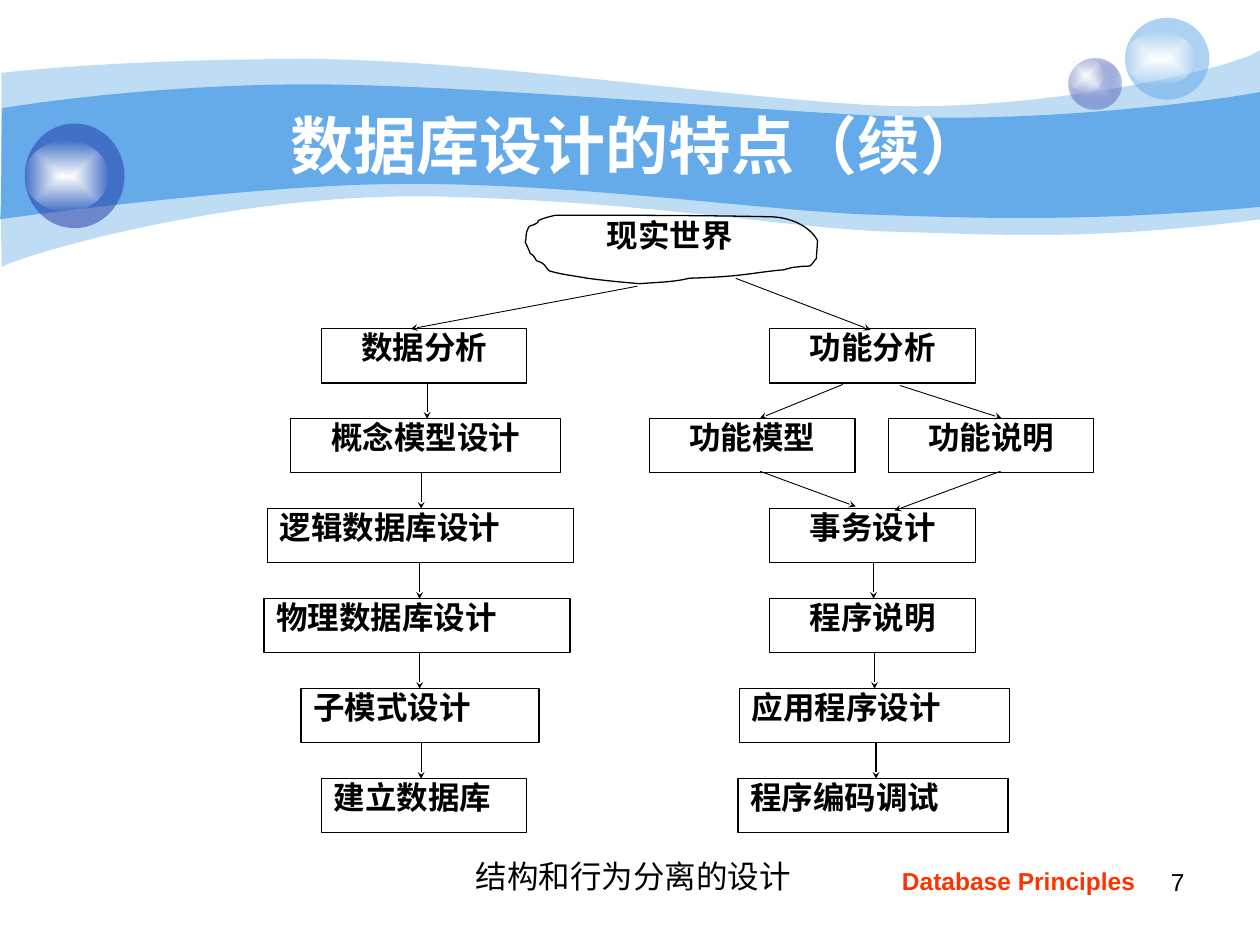
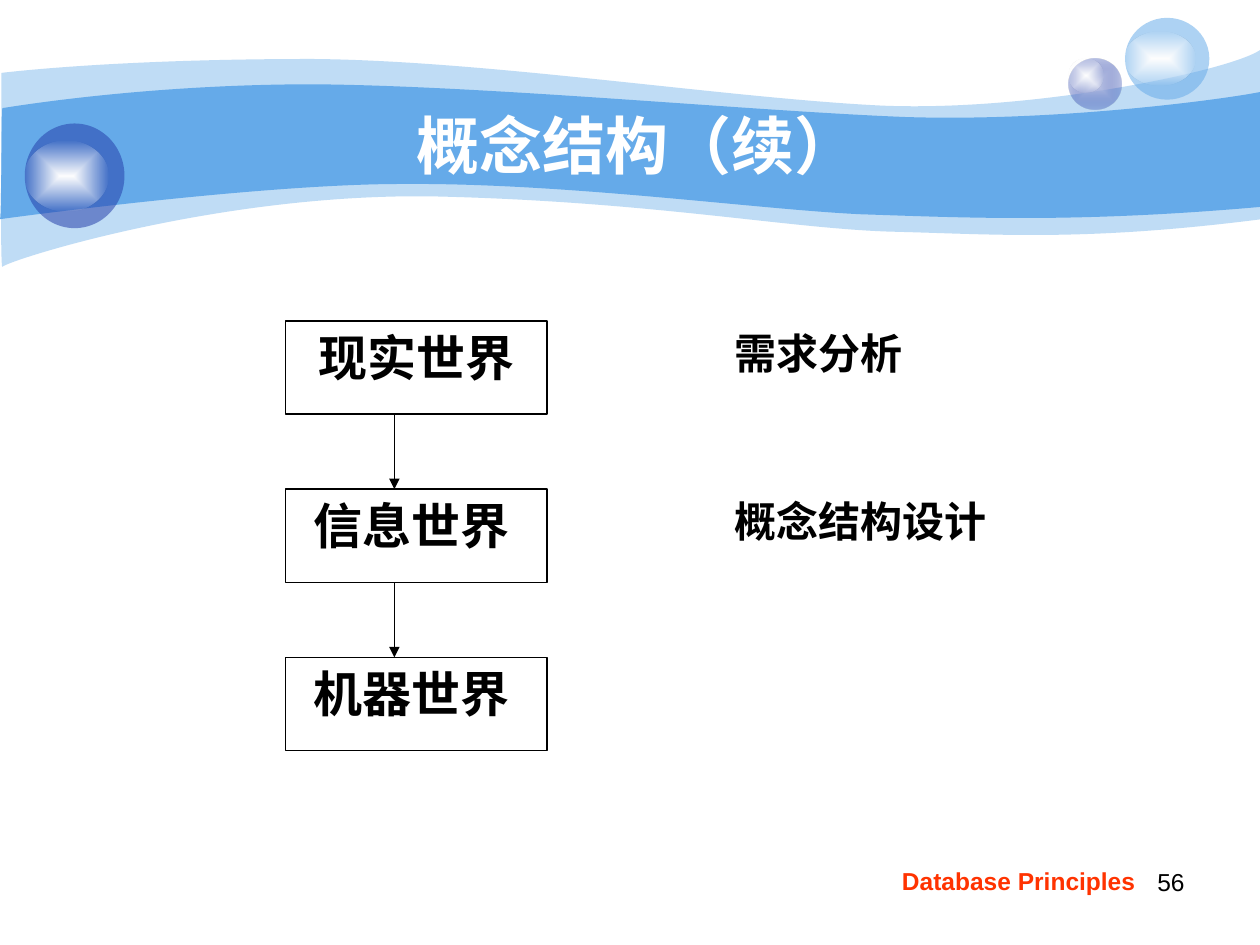
import lxml.etree
import pptx
import pptx.dml.color
import pptx.enum.shapes
import pptx.enum.text
import pptx.oxml.ns
import pptx.util

Cm = pptx.util.Cm
RGBColor = pptx.dml.color.RGBColor
ALIGN = pptx.enum.text.PP_ALIGN
ANCHOR = pptx.enum.text.MSO_ANCHOR
SHAPE = pptx.enum.shapes.MSO_SHAPE
qn = pptx.oxml.ns.qn

BLACK = RGBColor(0x00, 0x00, 0x00)
WHITE = RGBColor(0xFF, 0xFF, 0xFF)
SKY = RGBColor(0x65, 0xAA, 0xE9)
NAVY = RGBColor(0x23, 0x3D, 0xA9)
LAVENDER = RGBColor(0xC7, 0xCE, 0xE9)
ORANGE = RGBColor(0xFF, 0x33, 0x00)
SANS = "Arial"
SERIF = "Times New Roman"

OUTER_BAND = [
    [(0.03, 1.47)],
    [(0.64, 1.4), (2.77, 1.19), (6.3, 1.19)],
    [(9.83, 1.22), (14.66, 1.98), (17.78, 2.13)],
    [(20.9, 2.26), (24.92, 1.4), (25.43, 0.99)],
    [(25.43, 4.42)],
    [(21.82, 4.88), (20.04, 4.72), (17.93, 4.67)],
    [(15.82, 4.6), (13.11, 4.06), (8.74, 3.96)],
    [(4.39, 3.89), (0.13, 5.26), (0.05, 5.38)],
    [(0, 5.49), (0.03, 2.13), (0.03, 1.47)],
]
INNER_BAND = [
    [(0.05, 2.18)],
    [(0.08, 2.18), (2.82, 1.7), (6.32, 1.7)],
    [(9.86, 1.73), (15.16, 2.24), (18.26, 2.36)],
    [(21.39, 2.46), (24.82, 1.98), (25.43, 1.85)],
    [(25.43, 4.17)],
    [(21.69, 4.5), (19.48, 4.39), (17.35, 4.32)],
    [(15.24, 4.22), (11.38, 3.68), (8.08, 3.71)],
    [(5.18, 3.71), (-0.03, 4.42), (0, 4.42)],
    [(0.03, 4.45), (0.03, 2.18), (0.05, 2.18)],
]
CLOUD = [
    [(10.85, 4.45)],
    [(10.97, 4.39), (11.07, 4.37), (11.2, 4.34)],
    [(12.62, 4.34), (14.07, 4.34), (15.49, 4.37)],
    [(15.95, 4.37), (16.33, 4.57), (16.48, 4.85)],
    [(16.48, 4.98), (16.46, 5.08), (16.46, 5.21)],
    [(16.43, 5.23), (16.38, 5.33), (16.33, 5.36)],
    [(16.26, 5.38), (16.18, 5.36), (16.1, 5.38)],
    [(16, 5.38), (15.9, 5.41), (15.8, 5.44)],
    [(15.52, 5.46), (15.24, 5.51), (14.96, 5.54)],
    [(14.6, 5.59), (13.89, 5.61), (13.89, 5.61)],
    [(13.59, 5.69), (13.23, 5.69), (12.9, 5.72)],
    [(12.55, 5.69), (12.22, 5.66), (11.84, 5.61)],
    [(11.58, 5.56), (11.33, 5.54), (11.07, 5.46)],
    [(10.97, 5.36), (11, 5.31), (10.82, 5.26)],
    [(10.8, 5.23), (10.8, 5.21), (10.77, 5.18)],
    [(10.77, 5.16), (10.72, 5.13), (10.69, 5.11)],
    [(10.67, 5.05), (10.62, 4.95), (10.59, 4.88)],
    [(10.62, 4.8), (10.59, 4.7), (10.64, 4.62)],
    [(10.67, 4.52), (10.72, 4.57), (10.82, 4.5)],
    [(10.85, 4.5), (10.85, 4.47), (10.85, 4.45)],
]

ROW_TOP, ROW_PITCH, BOX_HEIGHT = 6.63, 9.07 / 5, 1.09
DATA_STEPS = [
    ("数据分析", 6.48, 4.14, ALIGN.CENTER),
    ("概念模型设计", 5.86, 5.44, ALIGN.CENTER),
    ("逻辑数据库设计", 5.39, 6.17, ALIGN.JUSTIFY),
    ("物理数据库设计", 5.32, 6.17, ALIGN.JUSTIFY),
    ("子模式设计", 6.07, 4.8, ALIGN.JUSTIFY),
    ("建立数据库", 6.48, 4.14, ALIGN.JUSTIFY),
]
FUNCTION_MODELS = [("功能模型", 13.1), ("功能说明", 17.91)]
FUNCTION_STEPS = {
    0: ("功能分析", 15.52, 4.14, ALIGN.CENTER),
    2: ("事务设计", 15.52, 4.14, ALIGN.CENTER),
    3: ("程序说明", 15.52, 4.14, ALIGN.CENTER),
    4: ("应用程序设计", 14.91, 5.44, ALIGN.JUSTIFY),
    5: ("程序编码调试", 14.88, 5.44, ALIGN.JUSTIFY),
}
DATA_ARROWS = [8.61, 8.49, 8.46, 8.46, 8.49]
FUNCTION_ARROWS = {2: 17.61, 3: 17.63, 4: 17.66}
BRANCH_ARROWS = [
    (12.85, 5.77, 8.28, 6.63),
    (14.83, 5.61, 17.55, 6.65),
    (16.99, 7.75, 15.32, 8.43),
    (18.14, 7.77, 20.19, 8.43),
    (15.32, 9.5, 17.25, 10.21),
    (20.17, 9.5, 18.03, 10.29),
]

WORLD_TOP, WORLD_PITCH, WORLD_HEIGHT = 6.47, 3.39, 1.88
WORLDS = ["现实世界", "信息世界", "机器世界"]
WORLD_STAGES = [("需求分析", 4.85), ("概念结构设计", 7.49)]


def add_child(parent, tag, **attributes):
    """Append a DrawingML element to a parent and return it."""
    return lxml.etree.SubElement(parent, qn(tag), attributes)


def set_alpha(color, percent):
    """Give a colour element an opacity in percent."""
    add_child(color, "a:alpha", val=str(percent * 1000))


def fill_solid(shape, color, opacity=100):
    """Fill a shape with one colour and remove its outline."""
    shape.shadow.inherit = False
    shape.line.fill.background()
    shape.fill.solid()
    shape.fill.fore_color.rgb = color
    if opacity < 100:
        set_alpha(shape._element.spPr.find(qn("a:solidFill"))[0], opacity)


def fill_glow(shape, centre, edge, edge_opacity):
    """Fill a shape with a gradient that runs from its centre to its edge."""
    fill_solid(shape, centre)
    properties = shape._element.spPr
    gradient = lxml.etree.Element(qn("a:gradFill"), rotWithShape="1")
    stops = add_child(gradient, "a:gsLst")
    for position, color, opacity in ((0, centre, 100), (100, edge, edge_opacity)):
        stop = add_child(stops, "a:gs", pos=str(position * 1000))
        set_alpha(add_child(stop, "a:srgbClr", val=str(color)), opacity)
    rect = add_child(gradient, "a:path", path="rect")
    add_child(rect, "a:fillToRect", l="50000", t="50000", r="50000", b="50000")
    properties.replace(properties.find(qn("a:solidFill")), gradient)


def outline(shape):
    """Leave a shape empty with a thin black outline."""
    shape.shadow.inherit = False
    shape.fill.background()
    shape.line.color.rgb = BLACK
    shape.line.width = pptx.util.Pt(0.75)


def add_curve(page, segments):
    """Draw a closed outline of straight and cubic segments."""
    ends = [(Cm(x), Cm(y)) for x, y in (segment[-1] for segment in segments)]
    builder = page.shapes.build_freeform(*ends[0])
    builder.add_line_segments(ends[1:], close=True)
    shape = builder.convert_to_shape()
    lines = list(shape._element.iter(qn("a:lnTo")))
    for line, segment in zip(lines, segments[1:]):
        if len(segment) == 3:
            cubic = lxml.etree.Element(qn("a:cubicBezTo"))
            for x, y in segment:
                add_child(cubic, "a:pt", x=str(Cm(x) - shape.left),
                          y=str(Cm(y) - shape.top))
            line.getparent().replace(line, cubic)
    return shape


def add_oval(page, left, top, width, height):
    """Add an ellipse."""
    return page.shapes.add_shape(SHAPE.OVAL, Cm(left), Cm(top), Cm(width), Cm(height))


def write(shape, text, size, font=SERIF, color=BLACK, bold=True,
          align=ALIGN.CENTER, anchor=ANCHOR.TOP, spacing=None, wrap=True):
    """Write one formatted paragraph into a shape."""
    frame = shape.text_frame
    frame.text = text
    frame.word_wrap = wrap
    frame.vertical_anchor = anchor
    para = frame.paragraphs[0]
    para.alignment = align
    para.line_spacing = spacing
    for span in para.runs:
        format_span(span, size, font, color, bold)


def format_span(span, size, font=SERIF, color=BLACK, bold=False):
    """Set the font of a run."""
    span.font.name = font
    span.font.size = pptx.util.Pt(size)
    span.font.bold = bold
    span.font.color.rgb = color


def add_label(page, left, top, width, height, text, size, **style):
    """Add a text box."""
    box = page.shapes.add_textbox(Cm(left), Cm(top), Cm(width), Cm(height))
    write(box, text, size, **style)


def add_box(page, left, top, width, height, text, size, **style):
    """Add an outlined rectangle with text."""
    box = page.shapes.add_shape(
        SHAPE.RECTANGLE, Cm(left), Cm(top), Cm(width), Cm(height))
    outline(box)
    write(box, text, size, **style)
    return box


def add_arrow(page, x1, y1, x2, y2, weight=0.5, **head):
    """Add a straight black arrow."""
    arrow = page.shapes.add_connector(
        pptx.enum.shapes.MSO_CONNECTOR.STRAIGHT, Cm(x1), Cm(y1), Cm(x2), Cm(y2))
    arrow.line.color.rgb = BLACK
    arrow.line.width = pptx.util.Pt(weight)
    head = head or {"type": "stealth", "w": "sm", "len": "sm"}
    add_child(arrow._element.spPr.find(qn("a:ln")), "a:tailEnd", **head)
    add_child(arrow._element.spPr, "a:effectLst")


def add_page(deck, title, number):
    """Add a page with its bands, bubbles, title and footer."""
    page = deck.slides.add_slide(deck.slide_layouts[6])
    add_label(page, 17.1, 17.33, 7.01, 0.69, "Database Principles ", 14,
              font=SANS, color=ORANGE)
    add_label(page, 18.21, 17.35, 5.92, 1.32, str(number), 14,
              font=SANS, bold=False, align=ALIGN.RIGHT)
    fill_solid(add_curve(page, OUTER_BAND), SKY, 41)
    fill_solid(add_curve(page, INNER_BAND), SKY)
    fill_glow(add_oval(page, 21.54, 1.18, 1.07, 1.02), LAVENDER, NAVY, 31)
    fill_glow(add_oval(page, 21.54, 1.18, 0.71, 0.69), WHITE, WHITE, 0)
    fill_solid(add_oval(page, 22.68, 0.36, 1.7, 1.65), SKY, 53)
    fill_glow(add_oval(page, 22.68, 0.64, 1.42, 1.09), WHITE, WHITE, 0)
    fill_solid(add_oval(page, 0.5, 2.49, 2.01, 2.11), NAVY, 53)
    fill_glow(add_oval(page, 0.5, 2.84, 1.68, 1.42), WHITE, WHITE, 0)
    add_label(page, 2.58, 2.13, 20.52, 1.57, title, 36,
              font=SANS, color=WHITE, anchor=ANCHOR.MIDDLE)
    return page


def add_step(page, row, text, left, width, align):
    """Add a design step on a row of the flow chart."""
    add_box(page, left, ROW_TOP + row * ROW_PITCH, width, BOX_HEIGHT, text, 18,
            align=align, spacing=0.8)


def add_step_arrow(page, row, x, weight=0.5):
    """Add an arrow from a row down to the next."""
    top = ROW_TOP + row * ROW_PITCH
    add_arrow(page, x, top + BOX_HEIGHT, x, top + ROW_PITCH, weight)


def build_design_flow(deck):
    """Build the flow of data design beside function design."""
    page = add_page(deck, "数据库设计的特点（续）", 7)
    outline(add_curve(page, CLOUD))
    add_label(page, 11.51, 4.37, 3.99, 1.32, "现实世界", 18, spacing=0.8)
    for row, step in [*enumerate(DATA_STEPS), *FUNCTION_STEPS.items()]:
        add_step(page, row, *step)
    for text, left in FUNCTION_MODELS:
        add_step(page, 1, text, left, 4.14, ALIGN.CENTER)
    for row, x in enumerate(DATA_ARROWS):
        add_step_arrow(page, row, x)
    for row, x in FUNCTION_ARROWS.items():
        add_step_arrow(page, row, x, 0.75 if row == 4 else 0.5)
    for ends in BRANCH_ARROWS:
        add_arrow(page, *ends)
    add_label(page, 9.34, 17.15, 6.99, 1.02, "结构和行为分离的设计", 18, bold=False,
              align=ALIGN.LEFT, anchor=ANCHOR.MIDDLE, wrap=False)


def build_three_worlds(deck):
    """Build the chain of worlds with the stage beside each."""
    page = add_page(deck, "概念结构（续）", 56)
    tops = [WORLD_TOP + row * WORLD_PITCH for row in range(len(WORLDS))]
    for row, world in enumerate(WORLDS):
        box = add_box(page, 5.75, tops[row], 5.28, WORLD_HEIGHT, world, 28)
        if row:
            space = box.text_frame.paragraphs[0].add_run()
            space.text = " "
            format_span(space, 24)
    for top, below in zip(tops, tops[1:]):
        add_arrow(page, 7.95, top + WORLD_HEIGHT, 7.95, below, 0.75, type="triangle")
    for top, (stage, width) in zip(tops, WORLD_STAGES):
        add_label(page, 14.55, top, width, 1.5, stage, 24, align=ALIGN.JUSTIFY)


def main():
    """Build and save the deck."""
    deck = pptx.Presentation()
    deck.slide_width, deck.slide_height = Cm(25.4), Cm(19.05)
    build_design_flow(deck)
    build_three_worlds(deck)
    deck.save("out.pptx")


if __name__ == "__main__":
    main()
